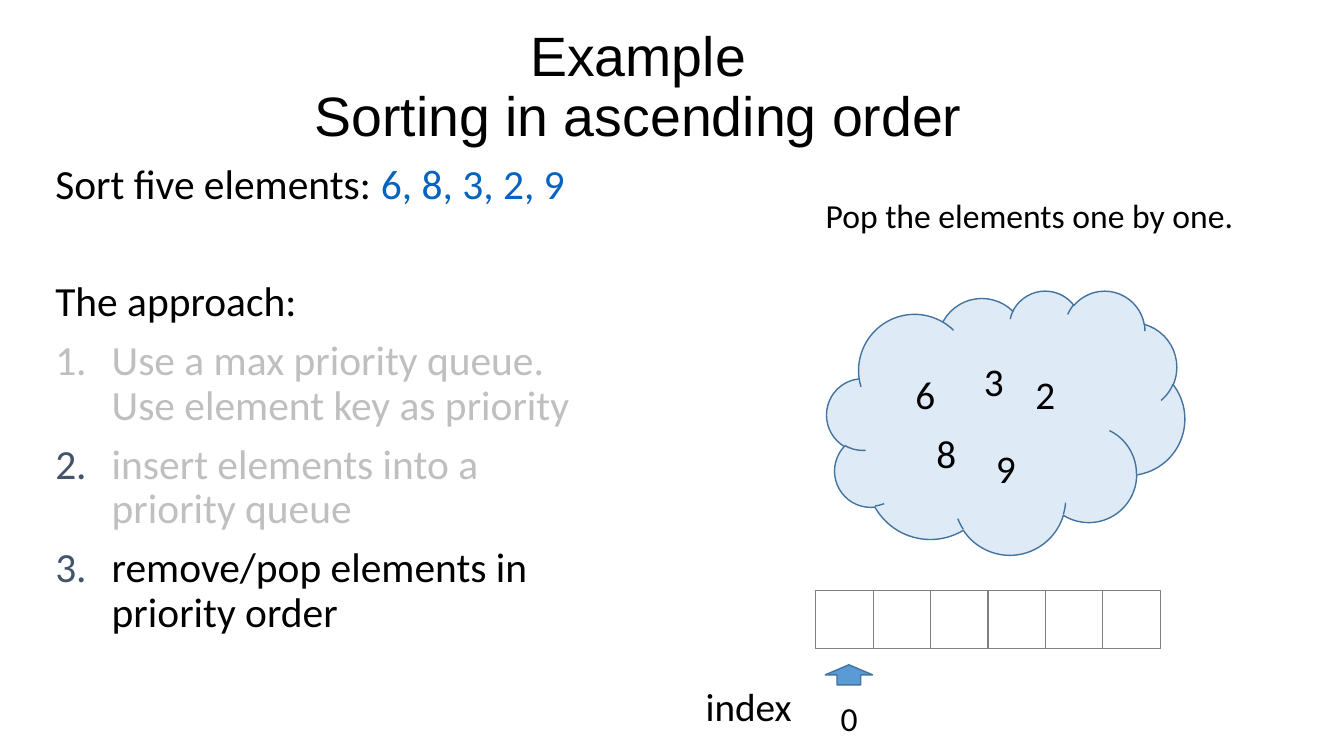
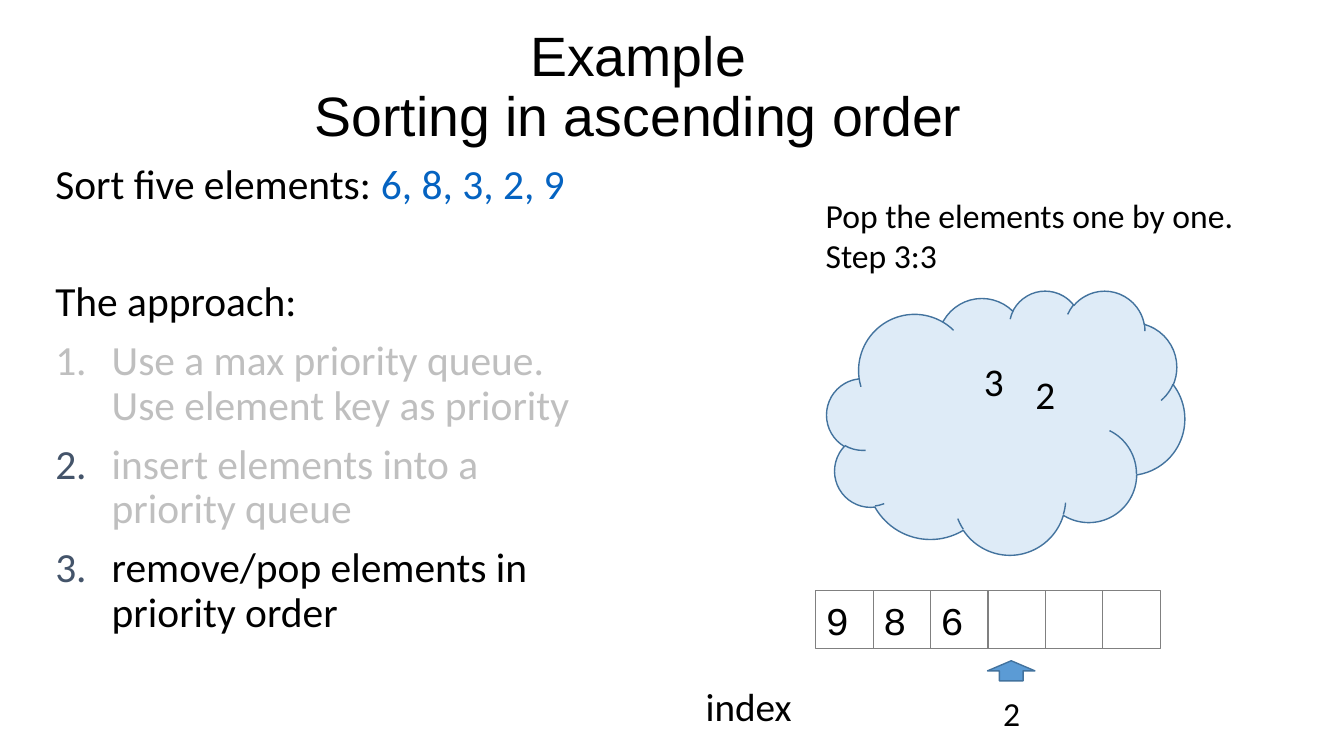
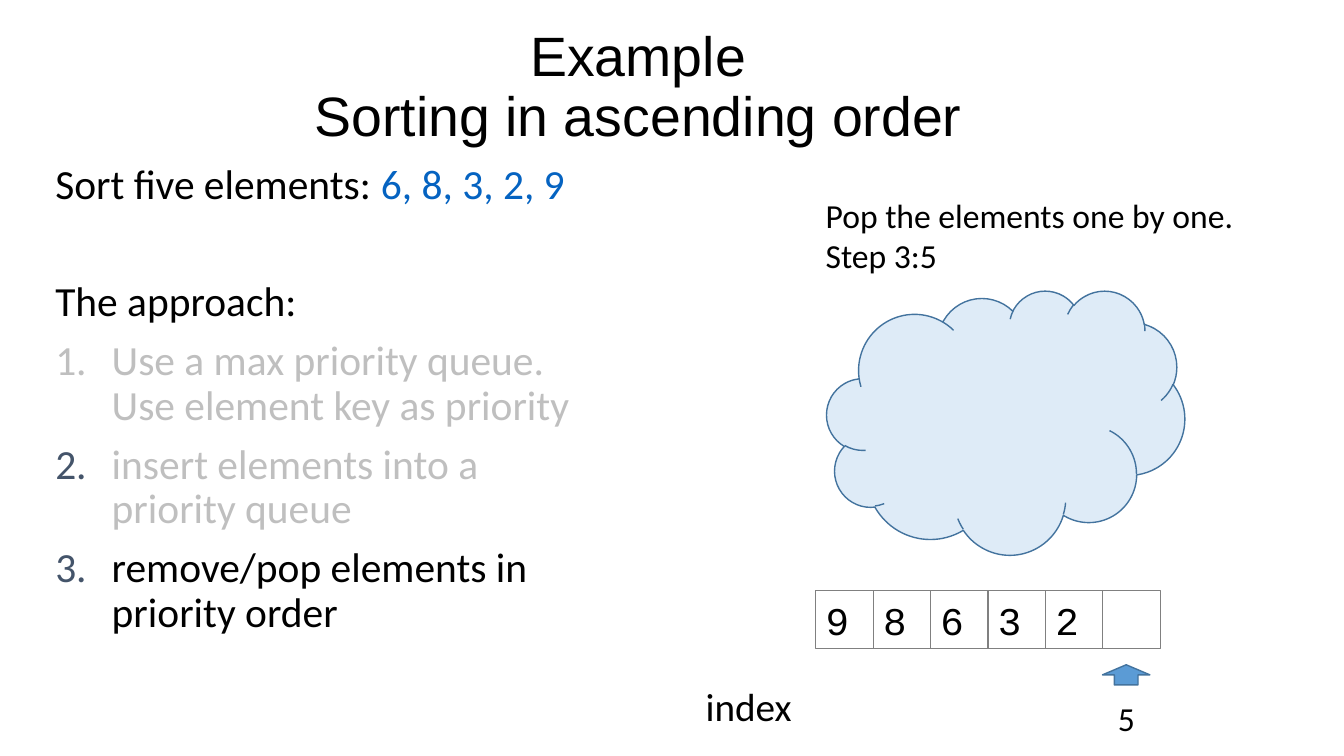
from lxml import etree
from pptx import Presentation
from pptx.dml.color import RGBColor
from pptx.enum.shapes import MSO_SHAPE
from pptx.enum.text import MSO_ANCHOR, PP_ALIGN
from pptx.oxml.ns import qn
from pptx.util import Inches, Pt

CLOUD, RECTANGLE, ARROW = MSO_SHAPE.CLOUD, MSO_SHAPE.RECTANGLE, MSO_SHAPE.RIGHT_ARROW
MIDDLE, LEFT, CENTER = MSO_ANCHOR.MIDDLE, PP_ALIGN.LEFT, PP_ALIGN.CENTER

COLORS = {
    "text": "000000", "values": "0563C1", "done": "BFBFBF", "number": "44546A",
    "cloud": "DEEBF7", "outline": "43739E", "cell": "808080", "arrow": "5B9BD5",
}
BODY_SIZE = 29.6
CELL_LEFT, CELL_PITCH = 8.09, 0.57

# Approach steps: wording, text colour, number colour
APPROACH = [
    ("Use a max priority queue. Use element key as priority", "done", "done"),
    ("insert elements into a priority queue", "done", "number"),
    ("remove/pop elements in priority order", "text", "number"),
]
# Elements in the order they are popped, with their place in the cloud
QUEUE = [
    ("9", 9.78, 4.36), ("8", 9.19, 4.21), ("6", 8.98, 3.62),
    ("3", 9.66, 3.5), ("2", 10.17, 3.62),
]
# One slide each: elements popped, index shown, arrow left and top
STATES = [(0, "0", 8.32, 6.46), (3, "2", 9.93, 6.42), (5, "5", 11.07, 6.46)]


def add_text(page, left, top, width, height, lines, size, font="Calibri", wrap=False):
    box = page.shapes.add_textbox(Inches(left), Inches(top), Inches(width), Inches(height))
    frame = box.text_frame
    frame.word_wrap = wrap
    for number, line in enumerate(lines):
        para = frame.paragraphs[0] if number == 0 else frame.add_paragraph()
        para.text = line
        para.font.name = font
        para.font.size = Pt(size)
        para.font.color.rgb = RGBColor.from_string(COLORS["text"])
    return frame


def add_outlined(page, kind, left, top, width, height, fill, line, weight):
    shape = page.shapes.add_shape(
        kind, Inches(left), Inches(top), Inches(width), Inches(height))
    shape.shadow.inherit = False
    if fill:
        shape.fill.solid()
        shape.fill.fore_color.rgb = RGBColor.from_string(COLORS[fill])
    else:
        shape.fill.background()
    shape.line.color.rgb = RGBColor.from_string(COLORS[line])
    shape.line.width = Pt(weight)
    return shape


deck = Presentation()
deck.slide_width, deck.slide_height = Inches(13.33), Inches(7.5)

for popped, index, arrow_left, arrow_top in STATES:
    page = deck.slides.add_slide(deck.slide_layouts[6])

    # Title
    title = add_text(page, 2.08, 0.25, 8.5, 1.25,
                     ["Example\vSorting in ascending order"], 39.6, "Arial", True)
    title.vertical_anchor = MIDDLE
    title.paragraphs[0].alignment = CENTER
    title.paragraphs[0].line_spacing = 0.9

    # Task and approach
    body = add_text(page, 0.45, 1.58, 5.64, 5.4,
                    ["Sort five elements: ", "The approach:"] + [step[0] for step in APPROACH],
                    BODY_SIZE, wrap=True)
    for para in body.paragraphs:
        para.line_spacing = 0.9
        para.space_before = Pt(10)
    task, heading, *steps = body.paragraphs
    span = task.add_run()
    span.text = "6, 8, 3, 2, 9"
    span.font.color.rgb = RGBColor.from_string(COLORS["values"])
    heading.space_before = Pt(51.5)
    for para, (wording, color, number_color) in zip(steps, APPROACH):
        para.font.color.rgb = RGBColor.from_string(COLORS[color])
        settings = para._p.get_or_add_pPr()
        settings.set("marL", str(Inches(0.56)))
        settings.set("indent", str(-Inches(0.56)))
        bullet_color = etree.Element(qn("a:buClr"))
        etree.SubElement(bullet_color, qn("a:srgbClr"), val=COLORS[number_color])
        bullet = etree.Element(qn("a:buAutoNum"), type="arabicPeriod")
        defaults = settings.find(qn("a:defRPr"))
        defaults.addprevious(bullet_color)
        defaults.addprevious(bullet)

    # Priority queue
    add_outlined(page, CLOUD, 8.2, 2.88, 3.55, 2.62, "cloud", "outline", 1)
    for element, left, top in QUEUE[popped:]:
        add_text(page, left, top, 0.4, 0.57, [element], 28)
    caption = ["Pop the elements one by one."]
    if popped:
        caption.append(f"Step 3:{popped}")
    add_text(page, 8.09, 1.88, 4.38, 0.1 + 0.4 * len(caption), caption, 24, wrap=True)

    # Sorted array: each box spans two cells and overlaps the next
    for place, (element, *_) in enumerate(QUEUE):
        cell = add_outlined(page, RECTANGLE, CELL_LEFT + place * CELL_PITCH, 5.86,
                            2 * CELL_PITCH, 0.57, None, "cell", 0.75)
        if place < popped:
            para = cell.text_frame.paragraphs[0]
            para.text = element
            para.alignment = LEFT
            para.font.name = "Courier New"
            para.font.size = Pt(28)
            para.font.color.rgb = RGBColor.from_string(COLORS["text"])

    # Index marker
    arrow = add_outlined(page, ARROW, arrow_left, arrow_top, 0.2, 0.47, "arrow", "outline", 1)
    arrow.rotation = 270
    add_text(page, arrow_left - 0.08, arrow_top + 0.41, 0.37, 0.5, [index], 24)
    add_text(page, 6.9, 6.72, 1.06, 0.57, ["index"], 28)

deck.save("out.pptx")
